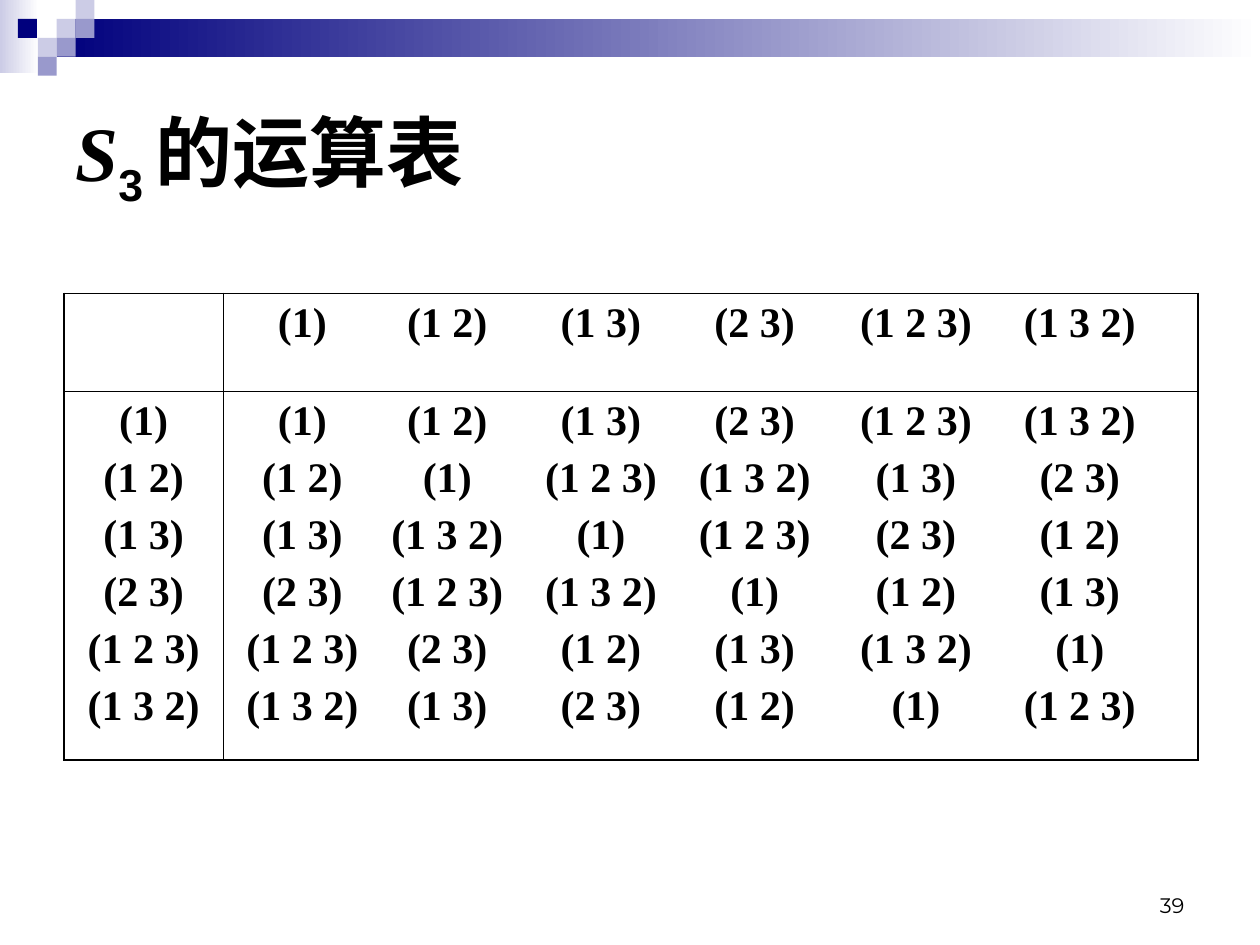
from dataclasses import dataclass

from lxml.etree import SubElement
from pptx import Presentation
from pptx.dml.color import RGBColor
from pptx.enum.shapes import MSO_SHAPE as Preset
from pptx.enum.text import MSO_ANCHOR as Anchor, MSO_AUTO_SIZE as AutoSize, PP_ALIGN as Align
from pptx.oxml.ns import qn
from pptx.util import Inches, Pt


@dataclass(frozen=True)
class Theme:
    black: str = "000000"
    white: str = "FFFFFF"
    navy: str = "00007D"
    violet: str = "9999CC"
    lavender: str = "CCCCE6"
    serif: str = "Times New Roman"
    sans: str = "Arial"
    number_font: str = "Montserrat"
    title_size: int = 44
    table_size: int = 24
    number_size: int = 12
    outer_line: float = 1.08
    inner_line: float = 0.45


theme = Theme()


def add_run(paragraph, text, font, size, bold=False, italic=False):
    run = paragraph.add_run()
    run.text = text
    run.font.name = font
    run.font.size = Pt(size)
    run.font.bold = bold
    run.font.italic = italic
    run.font.color.rgb = RGBColor.from_string(theme.black)
    return run


def add_block(left, top, width, height, *colours):
    """One colour gives a solid block, two a left-to-right gradient."""
    block = slide.shapes.add_shape(
        Preset.RECTANGLE, Inches(left), Inches(top), Inches(width), Inches(height))
    block.shadow.inherit = False
    block.line.fill.background()
    if len(colours) == 1:
        block.fill.solid()
        block.fill.fore_color.rgb = RGBColor.from_string(colours[0])
        return
    block.fill.gradient()
    block.fill.gradient_angle = 0
    for position, (stop, colour) in enumerate(zip(block.fill.gradient_stops, colours)):
        stop.position = position
        stop.color.rgb = RGBColor.from_string(colour)


presentation = Presentation()
presentation.slide_width, presentation.slide_height = Inches(10), Inches(7.5)
slide = presentation.slides.add_slide(presentation.slide_layouts[5])

# Header band and its mosaic of squares (column, row on a 0.15 inch grid)
unit = 0.15
add_block(0, 0, 0.31, 0.58, theme.lavender, theme.white)
add_block(3 * unit, unit, 10 - 3 * unit, 2 * unit, theme.navy, theme.white)
mosaic = [
    (3, 1, theme.lavender), (4, 0, theme.lavender), (4, 1, theme.violet),
    (2, 2, theme.lavender), (0.95, 1, theme.navy), (3, 2, theme.violet),
    (2, 3, theme.violet),
]
for column, row, colour in mosaic:
    add_block(column * unit, row * unit, unit, unit, colour)

# Slide number
number = slide.shapes.add_textbox(Inches(7.17), Inches(6.83), Inches(2.33), Inches(0.5))
number.text_frame.word_wrap = True
number.text_frame.vertical_anchor = Anchor.BOTTOM
paragraph = number.text_frame.paragraphs[0]
paragraph.alignment = Align.RIGHT
add_run(paragraph, "39", theme.number_font, theme.number_size)

# Title
title = slide.shapes.title
title.left, title.top, title.width, title.height = map(Inches, (0.5, 0.5, 9, 1.5))
title.text_frame.auto_size = AutoSize.NONE
title.text_frame.vertical_anchor = Anchor.MIDDLE
paragraph = title.text_frame.paragraphs[0]
paragraph.alignment = Align.LEFT
add_run(paragraph, "S", theme.serif, theme.title_size, bold=True, italic=True)
subscript = add_run(paragraph, "3 ", theme.sans, theme.title_size, bold=True)
subscript.font._element.set("baseline", "-25000")
add_run(paragraph, "的运算表", theme.sans, theme.title_size, bold=True)

# Operation table: header row, row labels, and products aligned on centred tabs
elements = ["(1)", "(1 2)", "(1 3)", "(2 3)", "(1 2 3)", "(1 3 2)"]
products = [
    elements,
    ["(1 2)", "(1)", "(1 2 3)", "(1 3 2)", "(1 3)", "(2 3)"],
    ["(1 3)", "(1 3 2)", "(1)", "(1 2 3)", "(2 3)", "(1 2)"],
    ["(2 3)", "(1 2 3)", "(1 3 2)", "(1)", "(1 2)", "(1 3)"],
    ["(1 2 3)", "(2 3)", "(1 2)", "(1 3)", "(1 3 2)", "(1)"],
    ["(1 3 2)", "(1 3)", "(2 3)", "(1 2)", "(1)", "(1 2 3)"],
]
tab_stops = [0.53, 1.68, 2.9, 4.12, 5.4, 6.7]
contents = [[[], [elements]], [[[label] for label in elements], products]]

table = slide.shapes.add_table(
    2, 2, Inches(0.51), Inches(2.33), Inches(9), Inches(3.7)).table
table.first_row = table.horz_banding = False
for column, width in zip(table.columns, (1.26, 7.74)):
    column.width = Inches(width)
for row, height in zip(table.rows, (0.78, 2.92)):
    row.height = Inches(height)

for row in range(2):
    for column in range(2):
        cell = table.cell(row, column)
        properties = cell._tc.get_or_add_tcPr()

        # Heavier outer frame, thin inner rules
        outer = {"L": column == 0, "R": column == 1, "T": row == 0, "B": row == 1}
        for side, is_outer in outer.items():
            width = theme.outer_line if is_outer else theme.inner_line
            line = SubElement(properties, qn(f"a:ln{side}"), w=str(int(Pt(width))))
            fill = SubElement(line, qn("a:solidFill"))
            SubElement(fill, qn("a:srgbClr"), val=theme.black)
        cell.fill.background()

        # One paragraph for each line of the cell
        for index, entries in enumerate(contents[row][column]):
            frame = cell.text_frame
            paragraph = frame.add_paragraph() if index else frame.paragraphs[0]
            paragraph.space_before = Pt(6)
            if column == 0:
                paragraph.alignment = Align.CENTER
                text = entries[0]
            else:
                tabs = SubElement(paragraph._p.get_or_add_pPr(), qn("a:tabLst"))
                for stop in tab_stops:
                    SubElement(tabs, qn("a:tab"), pos=str(Inches(stop)), algn="ctr")
                text = "".join(f"\t{entry}" for entry in entries)
            add_run(paragraph, text, theme.serif, theme.table_size, bold=True)

presentation.save("out.pptx")
